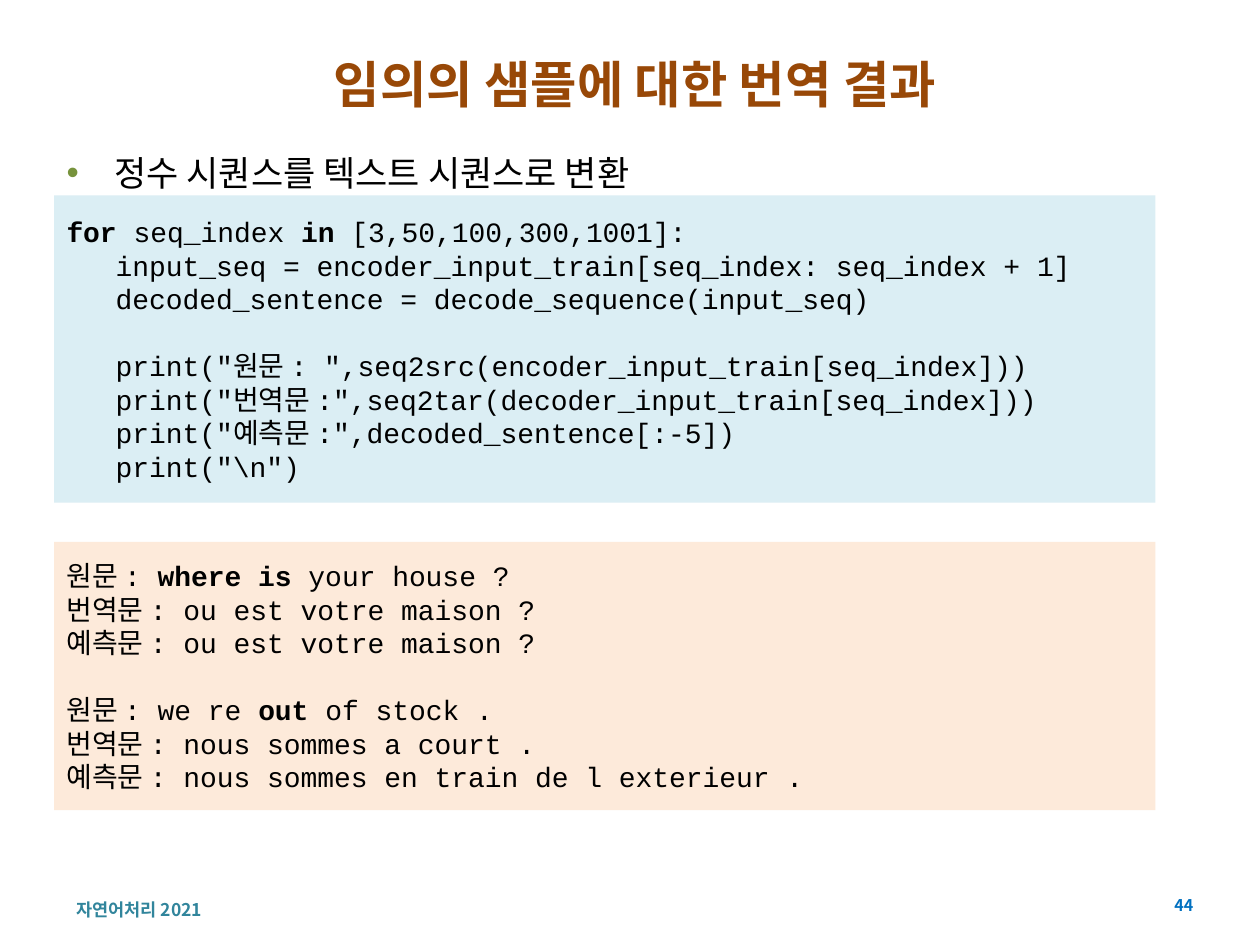
from lxml.etree import SubElement
from pptx import Presentation
from pptx.dml.color import RGBColor
from pptx.enum.shapes import MSO_SHAPE
from pptx.enum.text import MSO_ANCHOR, PP_ALIGN
from pptx.oxml.ns import qn
from pptx.util import Inches, Pt

SANS = "Noto Sans CJK KR"
MONO = "Courier New"
CODE = [
    ["*for* seq_index *in* [3,50,100,300,1001]:",
     "\tinput_seq = encoder_input_train[seq_index: seq_index + 1]",
     "\tdecoded_sentence = decode_sequence(input_seq)"],
    ['\tprint("원문 : ",seq2src(encoder_input_train[seq_index]))',
     '\tprint("번역문 :",seq2tar(decoder_input_train[seq_index]))',
     '\tprint("예측문 :",decoded_sentence[:-5])',
     '\tprint("\\n")'],
]
RESULT = [
    ["원문 : *where is* your house ?",
     "번역문 : ou est votre maison ?",
     "예측문 : ou est votre maison ?"],
    ["원문 : we re *out* of stock .",
     "번역문 : nous sommes a court .",
     "예측문 : nous sommes en train de l exterieur ."],
]


def paint(color, tint):
    color.rgb = RGBColor.from_string(tint)


def assign(item, values):
    for name, value in values.items():
        setattr(item, name, value)


def write(para, text, face, size, tint, bold=False):
    run = para.add_run()
    run.text = text
    assign(run.font, {"name": face, "size": Pt(size), "bold": bold})
    run.font.fill.solid()
    paint(run.font.fill.fore_color, tint)
    SubElement(run.font._element, qn("a:ea"), typeface=SANS)


def place(shape, box):
    names = ("left", "top", "width", "height")
    assign(shape, dict(zip(names, map(Inches, box))))


def prepare(shape, anchor=MSO_ANCHOR.MIDDLE):
    frame = shape.text_frame
    assign(frame, {"word_wrap": True, "vertical_anchor": anchor,
                   "margin_left": Inches(0.1), "margin_right": Inches(0.1),
                   "margin_top": Inches(0.05), "margin_bottom": Inches(0.05)})
    return frame


def add_title(slide, box, text):
    title = slide.shapes.title
    place(title, box)
    para = prepare(title).paragraphs[0]
    para.alignment = PP_ALIGN.CENTER
    write(para, text, SANS, 28.8, "984807", True)


def add_label(slide, box, text, size, tint, align=PP_ALIGN.LEFT):
    label = slide.shapes.add_textbox(*map(Inches, box))
    para = prepare(label).paragraphs[0]
    para.alignment = align
    write(para, text, SANS, size, tint, True)


def add_bullet(slide, box, text):
    body = slide.shapes.add_textbox(*map(Inches, box))
    para = prepare(body, MSO_ANCHOR.TOP).paragraphs[0]
    para.line_spacing = 1.5
    props = para._p.get_or_add_pPr()
    props.set("marL", str(Inches(0.38)))
    props.set("indent", str(-Inches(0.38)))
    color = SubElement(props, qn("a:buClr"))
    SubElement(color, qn("a:srgbClr"), val="77933C")
    SubElement(props, qn("a:buFont"), typeface="Arial")
    SubElement(props, qn("a:buChar"), char="•")
    write(para, text, "Times New Roman", 20, "000000")


def add_panel(slide, box, tint, groups):
    panel = slide.shapes.add_shape(MSO_SHAPE.RECTANGLE, *map(Inches, box))
    panel.shadow.inherit = False
    panel.fill.solid()
    paint(panel.fill.fore_color, tint)
    panel.line.fill.background()
    frame = prepare(panel)
    para = frame.paragraphs[0]
    for block, lines in enumerate(groups):
        for row, line in enumerate(lines):
            if block or row:
                para = frame.add_paragraph()
            para.alignment = PP_ALIGN.LEFT
            if block and not row:
                para.space_before = Pt(19)
            if line.startswith("\t"):
                para._p.get_or_add_pPr().set("marL", str(Inches(0.39)))
            for part, text in enumerate(line.strip().split("*")):
                if text:
                    write(para, text, MONO, 16, "000000", part % 2 == 1)


def build():
    deck = Presentation()
    assign(deck, {"slide_width": Inches(10), "slide_height": Inches(7.5)})
    slide = deck.slides.add_slide(deck.slide_layouts[5])
    add_label(slide, (0.51, 7.14, 2.6, 0.16), "자연어처리 2021", 10, "31859C")
    add_label(slide, (9.02, 7.06, 0.55, 0.24), "44", 9.2, "0070C0",
              PP_ALIGN.RIGHT)
    add_title(slide, (0.51, 0.36, 9.06, 0.6), "임의의 샘플에 대한 번역 결과")
    add_bullet(slide, (0.43, 0.99, 9.14, 0.79), "정수 시퀀스를 텍스트 시퀀스로 변환")
    add_panel(slide, (0.43, 1.55, 8.74, 2.44), "DBEEF4", CODE)
    add_panel(slide, (0.43, 4.3, 8.74, 2.13), "FDEADA", RESULT)
    deck.save("out.pptx")


build()
